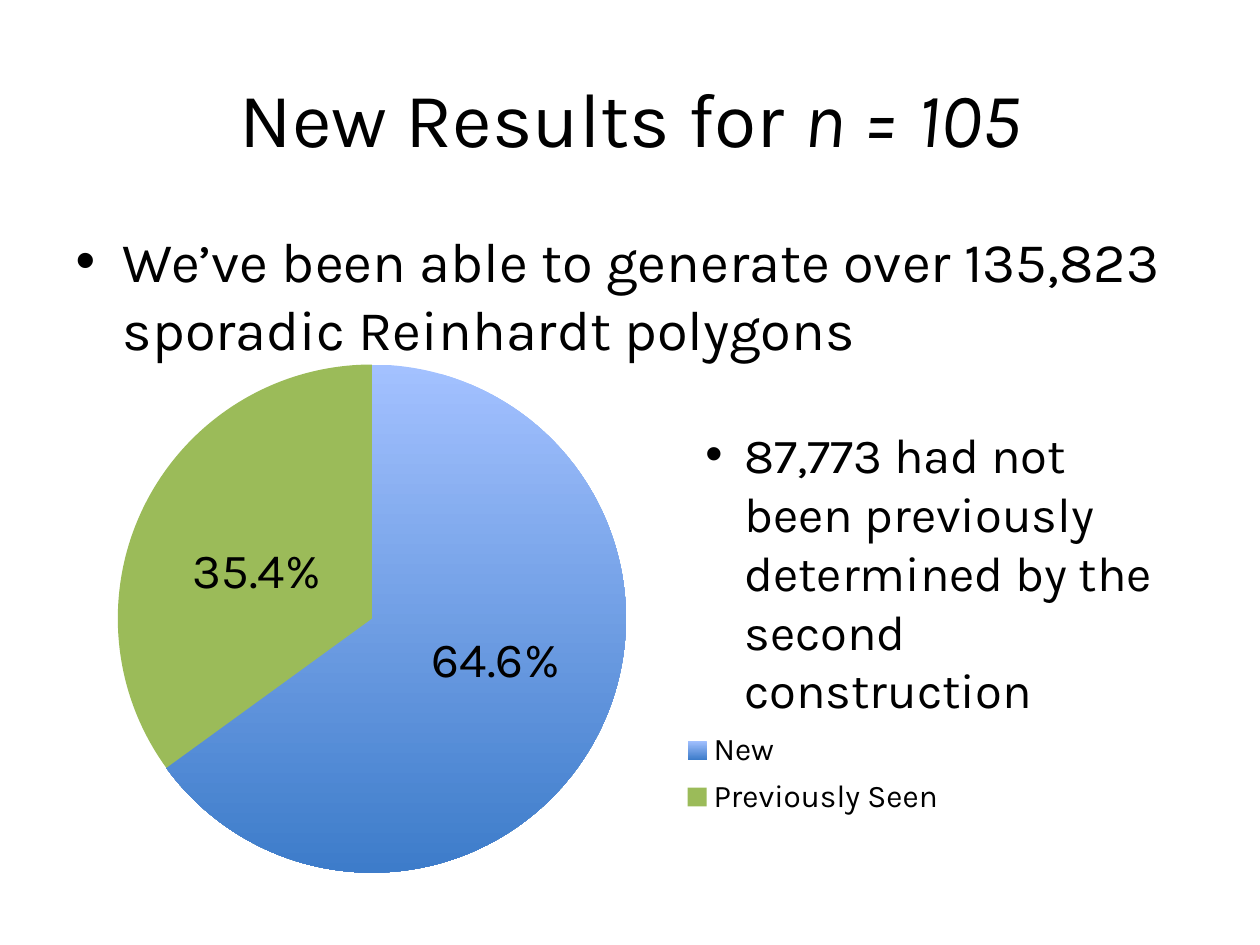
from lxml import etree
from pptx import Presentation
from pptx.chart.data import CategoryChartData
from pptx.dml.color import RGBColor
from pptx.enum.chart import XL_CHART_TYPE, XL_LEGEND_POSITION
from pptx.enum.text import MSO_ANCHOR, MSO_AUTO_SIZE, PP_ALIGN
from pptx.oxml import parse_xml
from pptx.oxml.ns import nsdecls, qn
from pptx.util import Inches, Pt

PIE = XL_CHART_TYPE.PIE
LEGEND_RIGHT = XL_LEGEND_POSITION.RIGHT
CENTER = PP_ALIGN.CENTER
MIDDLE = MSO_ANCHOR.MIDDLE
GROW = MSO_AUTO_SIZE.SHAPE_TO_FIT_TEXT


def color(value):
    return RGBColor.from_string(value)


class SlideBuilder:
    font_name = "Karla"
    text_color = "000000"

    def __init__(self, slide):
        self.slide = slide

    def style(self, font, size):
        font.name = self.font_name
        font.size = Pt(size)
        font.color.rgb = color(self.text_color)

    def place(self, shape, box):
        shape.left, shape.top, shape.width, shape.height = map(Inches, box)

    def bullet(self, paragraph, indent):
        properties = paragraph._p.get_or_add_pPr()
        properties.set("marL", str(Inches(indent)))
        properties.set("indent", str(-Inches(indent)))
        etree.SubElement(properties, qn("a:buFont")).set("typeface", "Arial")
        etree.SubElement(properties, qn("a:buChar")).set("char", "•")

    def title(self, box, plain, italic):
        shape = self.slide.shapes.title
        self.place(shape, box)
        shape.text_frame.vertical_anchor = MIDDLE
        paragraph = shape.text_frame.paragraphs[0]
        paragraph.alignment = CENTER
        for text, slanted in ((plain, False), (italic, True)):
            run = paragraph.add_run()
            run.text = text
            self.style(run.font, 44)
            run.font.italic = slanted

    def body(self, box, text):
        """Fill the body placeholder, which brings its own bullet and indent."""
        shape = self.slide.placeholders[1]
        self.place(shape, box)
        shape.text_frame.text = text
        self.style(shape.text_frame.paragraphs[0].runs[0].font, 32)

    def text(self, box, text, bullet_indent=None):
        shape = self.slide.shapes.add_textbox(*map(Inches, box))
        frame = shape.text_frame
        frame.word_wrap = True
        frame.auto_size = GROW
        frame.text = text
        paragraph = frame.paragraphs[0]
        self.style(paragraph.runs[0].font, 28)
        if bullet_indent:
            self.bullet(paragraph, bullet_indent)

    def layout(self, box, inner=False):
        """Return a manual chart layout, given as fractions of the chart."""
        target = '<c:layoutTarget val="inner"/>' if inner else ""
        modes = "".join(f'<c:{side}Mode val="edge"/>' for side in "xy")
        sizes = "".join(f'<c:{side} val="{size}"/>' for side, size in zip("xywh", box))
        return parse_xml(
            f'<c:layout {nsdecls("c")}><c:manualLayout>{target}{modes}{sizes}'
            "</c:manualLayout></c:layout>"
        )

    def pie(self, box, shares, gradient, solid):
        data = CategoryChartData()
        data.categories = list(shares)
        data.add_series("Series 1", list(shares.values()))
        chart = self.slide.shapes.add_chart(PIE, *map(Inches, box), data).chart
        chart.has_title = False
        self.style(chart.font, 18)
        plot = chart.plots[0]
        plot.vary_by_categories = True

        # Slice fills
        points = plot.series[0].points
        fill = points[0].format.fill
        fill.gradient()
        fill.gradient_angle = 270
        for stop, value in zip(fill.gradient_stops, gradient):
            stop.color.rgb = color(value)
        fill = points[1].format.fill
        fill.solid()
        fill.fore_color.rgb = color(solid)

        # Legend and plot positions
        chart.has_legend = True
        chart.legend.position = LEGEND_RIGHT
        chart.legend.include_in_layout = False
        legend = chart.legend._element
        plot_area = chart._chartSpace.chart.plotArea
        for parent in (legend, plot_area):
            for old in parent.findall(qn("c:layout")):
                parent.remove(old)
        legend.find(qn("c:legendPos")).addnext(self.layout((0.67, 0.69, 0.29, 0.19)))
        plot_area.insert(0, self.layout((0.09, 0.03, 0.53, 0.94), inner=True))


def main():
    presentation = Presentation()
    presentation.slide_width = Inches(10)
    presentation.slide_height = Inches(7.5)
    slide = presentation.slides.add_slide(presentation.slide_layouts[1])
    builder = SlideBuilder(slide)

    # Title and main statement
    builder.title((0.5, 0.3, 9, 1.25), "New Results for ", "n = 105")
    builder.body(
        (0.5, 1.75, 9, 4.95),
        "We’ve been able to generate over 135,823 sporadic Reinhardt polygons",
    )

    # Share of new polygons, with exact percentages on the slices
    shares = {"New": 65, "Previously Seen": 35}
    builder.pie((0.25, 2.75, 7.61, 4.32), shares, ("A3C1FF", "3D7CCA"), "9BBB59")
    builder.text((1.43, 4.23, 1.53, 0.57), "35.4%")
    builder.text((3.33, 4.94, 1.33, 0.57), "64.6%")

    # Comment beside the chart
    builder.text(
        (5.5, 3.32, 4, 1.99),
        "87,773 had not been previously determined by the second construction",
        bullet_indent=0.31,
    )
    presentation.save("out.pptx")


if __name__ == "__main__":
    main()
